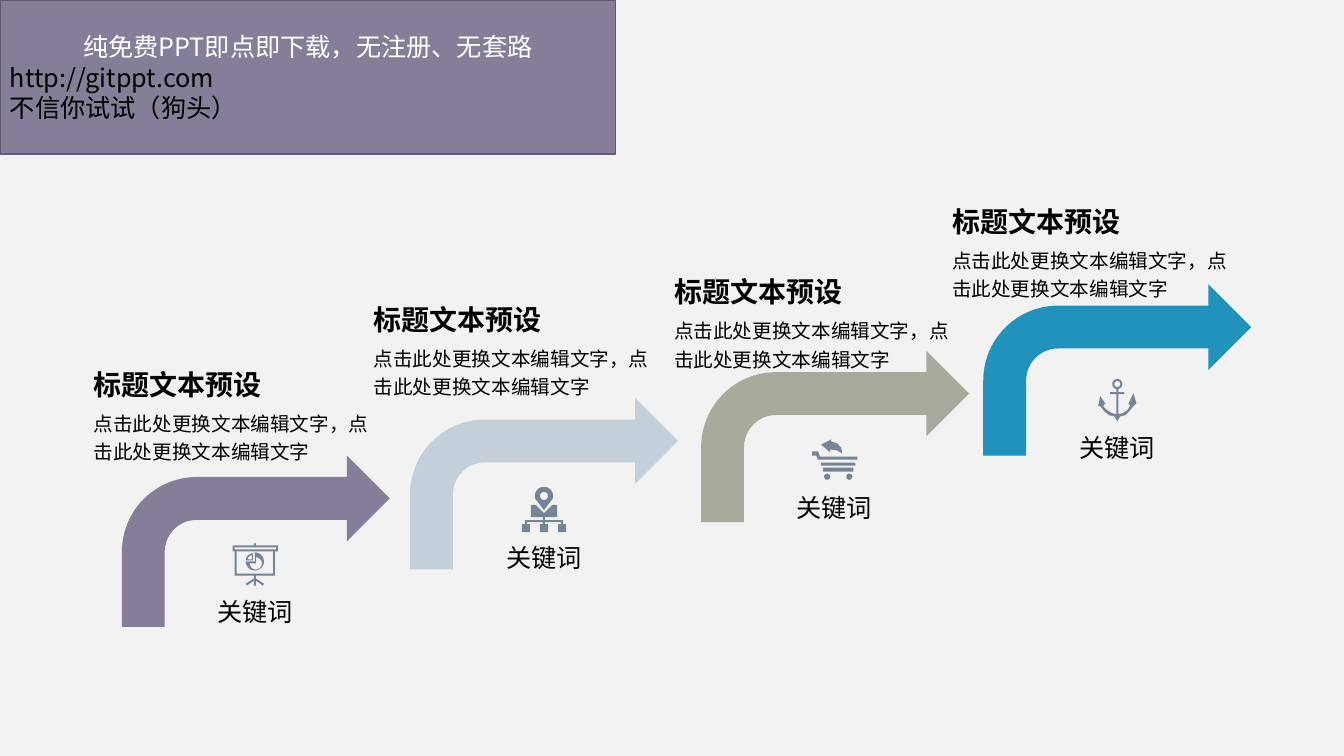
import math
from dataclasses import dataclass

import pptx
import pptx.dml.color
import pptx.enum.shapes
import pptx.enum.text
import pptx.oxml
import pptx.oxml.ns
import pptx.util

Point = tuple[float, float]
Contour = list[Point]

PX = 9144  # EMU per px, 100 px to the inch
FONT = "Noto Sans CJK SC"
BLACK = "000000"
WHITE = "FFFFFF"
PURPLE = "867D98"
ICON_COLOR = "778495"
HEADING = "标题文本预设"
DETAIL = "点击此处更换文本编辑文字，点击此处更换文本编辑文字"
KEYWORD = "关键词"

SHAPE = pptx.enum.shapes.MSO_SHAPE
ALIGN = pptx.enum.text.PP_ALIGN
ANCHOR = pptx.enum.text.MSO_ANCHOR

BANNER_LINES = [
    ("纯免费PPT即点即下载，无注册、无套路", WHITE, ALIGN.CENTER),
    ("http://gitppt.com", BLACK, ALIGN.LEFT),
    ("不信你试试（狗头）", BLACK, ALIGN.LEFT),
]


@dataclass(frozen=True)
class Step:
    color: str
    arrow: tuple[int, int]
    heading: tuple[int, int]
    keyword: tuple[int, int]
    icon_at: tuple[int, int]
    icon: list[Contour]


def px(length: float) -> int:
    return pptx.util.Emu(round(length * PX))


def rgb(color: str) -> pptx.dml.color.RGBColor:
    return pptx.dml.color.RGBColor.from_string(color)


def box(left: int, top: int, right: int, bottom: int) -> Contour:
    return [(left, top), (right, top), (right, bottom), (left, bottom)]


def arc(x: int, y: int, radius: int, start: int, end: int) -> Contour:
    """Points along an arc, in degrees clockwise from the right."""
    angles = [math.radians(start + (end - start) * i / 32) for i in range(33)]
    return [(x + radius * math.cos(a), y + radius * math.sin(a)) for a in angles]


def circle(x: int, y: int, radius: int) -> Contour:
    return arc(x, y, radius, 0, 360)


def sector(x: int, y: int, radius: int, start: int, end: int) -> Contour:
    return [(x, y)] + arc(x, y, radius, start, end)


# Contours inside another contour are holes.
CHART_BOARD = [
    box(21, 0, 23, 2), box(0, 2, 45, 8), box(2, 4, 43, 6),
    box(2, 8, 42, 32), box(4, 8, 40, 30), box(21, 32, 23, 42),
    [(21, 35), (13, 40), (14, 42), (21, 37)],
    [(23, 35), (31, 40), (30, 42), (23, 37)],
    sector(22, 18, 9, -90, 180), sector(23, 20, 6, -90, 180),
    sector(20, 17, 7, 180, 270), sector(19, 16, 4, 180, 270),
]
LOCATION_TREE = [
    arc(22, 9, 9, 160, 380) + [(22, 23)], circle(22, 9, 4),
    [(9, 18), (14, 18), (22, 26), (30, 18), (35, 18), (35, 30), (9, 30)],
    box(21, 30, 23, 33), box(3, 33, 41, 35),
    *[box(x + 3, 35, x + 5, 37) for x in (0, 18, 36)],
    *[box(x, 37, x + 8, 45) for x in (0, 18, 36)],
]
CART = [
    [(9, 5), (19, 0), (19, 2), (25, 4), (29, 8), (30, 14), (25, 11), (18, 10), (18, 13)],
    [(0, 12), (6, 12), (8, 17), (45, 17), (45, 20), (6, 20), (4, 16), (0, 16)],
    box(9, 23, 43, 26), box(11, 28, 41, 32), circle(15, 37, 3), circle(37, 37, 3),
]
ANCHOR_ICON = [
    circle(20, 6, 5), circle(20, 6, 3),
    box(19, 11, 21, 14), box(13, 14, 27, 16), box(19, 16, 21, 36),
    [(3, 28), (7, 33), (12, 37), (17, 38), (20, 43), (23, 38), (28, 37), (32, 33),
     (36, 28), (33, 27), (30, 32), (25, 35), (20, 36), (15, 35), (10, 32), (6, 28)],
    [(3, 18), (8, 25), (6, 28), (1, 28)],
    [(36, 15), (39, 25), (36, 28), (33, 27), (31, 26)],
]

STEPS = [
    Step(PURPLE, (121, 452), (93, 358), (167, 566), (231, 539), CHART_BOARD),
    Step("C4CFD9", (407, 395), (371, 293), (454, 512), (518, 483), LOCATION_TREE),
    Step("A7AA9D", (696, 348), (669, 266), (742, 462), (806, 436), CART),
    Step("2192BC", (976, 282), (945, 196), (1023, 403), (1089, 375), ANCHOR_ICON),
]


def paint(shape, fill: str, line: str | None = None) -> None:
    shape.shadow.inherit = False
    shape.fill.solid()
    shape.fill.fore_color.rgb = rgb(fill)
    if line is None:
        shape.line.fill.background()
    else:
        shape.line.color.rgb = rgb(line)
        shape.line.width = pptx.util.Pt(1)


def add_preset(slide, kind, left: int, top: int, width: int, height: int,
               fill: str, line: str | None = None):
    shape = slide.shapes.add_shape(kind, px(left), px(top), px(width), px(height))
    paint(shape, fill, line)
    return shape


def add_icon(slide, origin: tuple[int, int], contours: list[Contour]) -> None:
    left, top = origin
    placed = [[(px(left + x), px(top + y)) for x, y in contour] for contour in contours]
    builder = slide.shapes.build_freeform(*placed[0][0])
    for index, contour in enumerate(placed):
        if index:
            builder.move_to(*contour[0])
        builder.add_line_segments(contour[1:], close=True)
    paint(builder.convert_to_shape(), ICON_COLOR)


def style_runs(paragraph, size: int, color: str, bold: bool = False) -> None:
    for run in paragraph.runs:
        run.font.size = pptx.util.Pt(size)
        run.font.bold = bold
        run.font.color.rgb = rgb(color)
        run.font.name = FONT
        east_asian = pptx.oxml.parse_xml(
            f'<a:ea {pptx.oxml.ns.nsdecls("a")} typeface="{FONT}"/>')
        run.font._element.find(pptx.oxml.ns.qn("a:latin")).addnext(east_asian)


def add_text(slide, text: str, left: int, top: int, width: int, height: int, size: int,
             bold: bool = False, centred: bool = False, spacing: float = 1.0) -> None:
    frame = slide.shapes.add_textbox(px(left), px(top), px(width), px(height)).text_frame
    frame.margin_left = frame.margin_right = frame.margin_top = frame.margin_bottom = 0
    frame.word_wrap = True
    frame.vertical_anchor = ANCHOR.MIDDLE if centred else ANCHOR.TOP
    frame.text = text
    paragraph = frame.paragraphs[0]
    paragraph.alignment = ALIGN.CENTER if centred else ALIGN.LEFT
    paragraph.line_spacing = spacing
    style_runs(paragraph, size, BLACK, bold)


def add_step(slide, step: Step) -> None:
    add_preset(slide, SHAPE.BENT_ARROW, *step.arrow, 266, 170, step.color)
    add_icon(slide, step.icon_at, step.icon)
    add_text(slide, KEYWORD, *step.keyword, 172, 82, 18, centred=True)
    left, top = step.heading
    add_text(slide, DETAIL, left, top + 46, 289, 61, 14, spacing=1.2)
    add_text(slide, HEADING, left, top, 289, 30, 20, bold=True, spacing=1.2)


def add_banner(slide) -> None:
    banner = add_preset(slide, SHAPE.RECTANGLE, 0, 0, 611, 153, PURPLE, "615A6E")
    frame = banner.text_frame
    frame.word_wrap = True
    frame.vertical_anchor = ANCHOR.MIDDLE
    frame.text = "\n".join(text for text, _, _ in BANNER_LINES)
    for paragraph, (_, color, alignment) in zip(frame.paragraphs, BANNER_LINES):
        paragraph.alignment = alignment
        style_runs(paragraph, 18, color)


def main() -> None:
    deck = pptx.Presentation()
    deck.slide_width, deck.slide_height = px(1334), px(750)
    slide = deck.slides.add_slide(deck.slide_layouts[6])
    slide.background.fill.solid()
    slide.background.fill.fore_color.rgb = rgb("F2F2F2")
    for step in STEPS:
        add_step(slide, step)
    add_banner(slide)
    deck.save("out.pptx")


if __name__ == "__main__":
    main()
